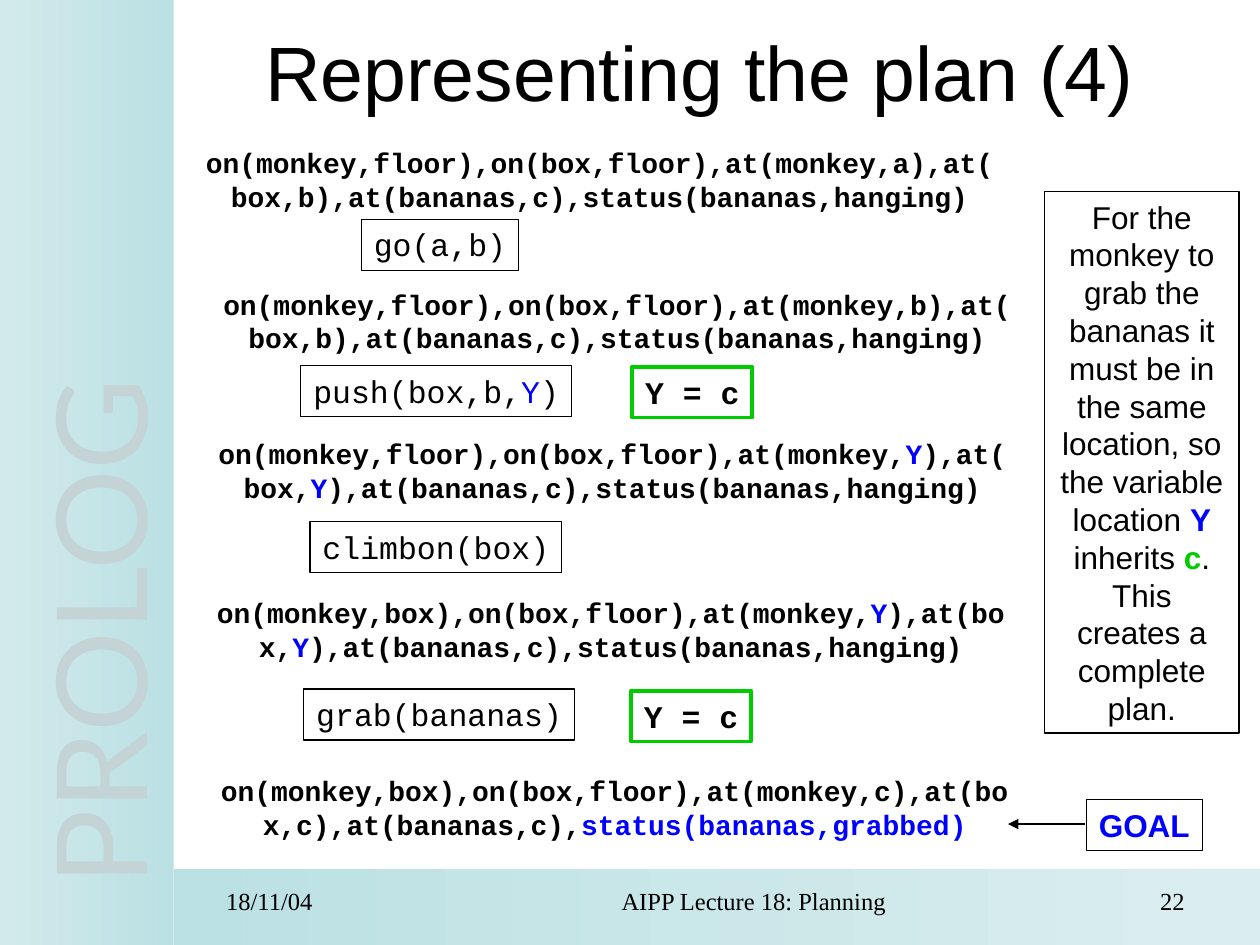
from dataclasses import dataclass
from lxml.etree import SubElement
from pptx import Presentation
from pptx.dml.color import RGBColor
from pptx.enum.shapes import MSO_CONNECTOR, MSO_SHAPE
from pptx.enum.text import MSO_ANCHOR, PP_ALIGN
from pptx.oxml.ns import qn
from pptx.util import Pt


@dataclass(frozen=True)
class Theme:
    black: str = "000000"
    white: str = "FFFFFF"
    blue: str = "0000FF"
    green: str = "00CC00"
    teal: str = "BBE0E3"
    side_light: str = "D2EAEC"
    footer_light: str = "DBEEEF"
    watermark: str = "C4D3D5"
    sans: str = "Arial"
    code: str = "Courier New"
    serif: str = "Times New Roman"
    display: str = "Lato"
    title_size: int = 44
    display_size: int = 72
    state_size: int = 16
    label_size: int = 18
    footer_size: int = 14


THEME = Theme()
SLIDE_WIDTH, SLIDE_HEIGHT = 720, 540
SIDE_WIDTH, FOOTER_TOP = 99.2, 496.8
STATE_WIDTH, STATE_HEIGHT, LABEL_HEIGHT = 465, 46.1, 29.1

# Content: a run is plain text or (text, colour, bold)
TITLE = "Representing the plan (4)"
CODE_Y = ("Y", THEME.blue, True)
HANGING = "at(bananas,c),status(bananas,hanging)"
STATES = [  # left, top, runs
    (110.2, 79.9, ["on(monkey,floor),on(box,floor),at(monkey,a),at(box,b)," + HANGING]),
    (120.2, 160.6, ["on(monkey,floor),on(box,floor),at(monkey,b),at(box,b)," + HANGING]),
    (117.4, 246.2, ["on(monkey,floor),on(box,floor),at(monkey,", CODE_Y, "),at(box,",
                    CODE_Y, ")," + HANGING]),
    (116.6, 336.8, ["on(monkey,box),on(box,floor),at(monkey,", CODE_Y, "),at(box,",
                    CODE_Y, ")," + HANGING]),
    (118.8, 438.5, ["on(monkey,box),on(box,floor),at(monkey,c),at(box,c),at(bananas,c),",
                    ("status(bananas,grabbed)", THEME.blue, True)]),
]
ACTIONS = [  # left, top, width, runs
    (206.4, 125.3, 90, ["go(a,b)"]),
    (171.8, 208.8, 154.8, ["push(box,b,", ("Y", THEME.blue, False), ")"]),
    (177.1, 298.1, 144, ["climbon(box)"]),
    (173.5, 393.8, 154.8, ["grab(bananas)"]),
]
BINDING = ["Y = c"]
BINDING_PLACES = [(361.4, 209.5), (360.7, 394.6)]
NOTE = ["For the monkey to grab the bananas it must be in the same location, "
        "so the variable location ", CODE_Y, " inherits ", ("c", THEME.green, True),
        ". This creates a complete plan."]
GOAL = ["GOAL"]
FOOTERS = [  # left, width, alignment, text
    (105.1, 130.3, PP_ALIGN.LEFT, "18/11/04"),
    (246.2, 352.1, PP_ALIGN.CENTER, "AIPP Lecture 18: Planning"),
    (609.8, 74.2, PP_ALIGN.RIGHT, "22"),
]


def rgb(value):
    return RGBColor.from_string(value)


def write(shape, runs, font, size, color=THEME.black, bold=False,
          align=PP_ALIGN.CENTER, wrap=True):
    shape.text_frame.word_wrap = wrap
    paragraph = shape.text_frame.paragraphs[0]
    paragraph.alignment = align
    paragraph.font.name, paragraph.font.size = font, Pt(size)
    paragraph.font.bold = bold
    paragraph.font.color.rgb = rgb(color)
    for item in runs:
        run = paragraph.add_run()
        if isinstance(item, str):
            run.text = item
        else:
            run.text, run_color, run.font.bold = item
            run.font.color.rgb = rgb(run_color)


def add_text(slide, left, top, width, height, runs, font, size,
             border=None, border_width=0.75, **style):
    shape = slide.shapes.add_textbox(Pt(left), Pt(top), Pt(width), Pt(height))
    if border:
        shape.line.color.rgb = rgb(border)
        shape.line.width = Pt(border_width)
    write(shape, runs, font, size, **style)
    return shape


def add_band(slide, left, top, width, height, right_color, left_color):
    band = slide.shapes.add_shape(MSO_SHAPE.RECTANGLE, Pt(left), Pt(top), Pt(width), Pt(height))
    band.shadow.inherit = False
    band.line.fill.background()
    band.fill.gradient()
    band.fill.gradient_angle = 180
    for stop, color in zip(band.fill.gradient_stops, (right_color, left_color)):
        stop.color.rgb = rgb(color)


def add_arrow(slide, start_x, end_x, y):
    arrow = slide.shapes.add_connector(MSO_CONNECTOR.STRAIGHT, Pt(start_x), Pt(y), Pt(end_x), Pt(y))
    arrow.line.color.rgb = rgb(THEME.black)
    arrow.line.width = Pt(0.75)
    SubElement(arrow.line._get_or_add_ln(), qn("a:tailEnd"), type="triangle")
    SubElement(arrow._element.spPr, qn("a:effectLst"))


def main():
    presentation = Presentation()
    presentation.slide_width, presentation.slide_height = Pt(SLIDE_WIDTH), Pt(SLIDE_HEIGHT)
    slide = presentation.slides.add_slide(presentation.slide_layouts[5])

    # Background bands and sideways course name
    add_band(slide, SIDE_WIDTH, FOOTER_TOP, SLIDE_WIDTH - SIDE_WIDTH,
             SLIDE_HEIGHT - FOOTER_TOP, THEME.footer_light, THEME.teal)
    add_band(slide, 0, 0, SIDE_WIDTH, SLIDE_HEIGHT, THEME.teal, THEME.side_light)
    course = add_text(slide, -199.4, 228.2, 493.2, 77, ["PROLOG"], THEME.display,
                      THEME.display_size, color=THEME.watermark,
                      align=PP_ALIGN.LEFT, wrap=False)
    course.rotation = 270

    # Title
    title = slide.shapes.title
    title.left, title.top, title.width, title.height = Pt(99.4), Pt(15.1), Pt(601.2), Pt(51.1)
    title.text_frame.vertical_anchor = MSO_ANCHOR.MIDDLE
    write(title, [TITLE], THEME.sans, THEME.title_size)

    # States, and the actions between them
    for left, top, runs in STATES:
        state = add_text(slide, left, top, STATE_WIDTH, STATE_HEIGHT, runs,
                         THEME.code, THEME.state_size, bold=True)
    state.fill.solid()  # the goal state is filled
    state.fill.fore_color.rgb = rgb(THEME.white)
    for left, top, width, runs in ACTIONS:
        add_text(slide, left, top, width, LABEL_HEIGHT, runs, THEME.code,
                 THEME.label_size, border=THEME.black, wrap=False)
    for left, top in BINDING_PLACES:
        add_text(slide, left, top, 68.4, LABEL_HEIGHT, BINDING, THEME.code, THEME.label_size,
                 border=THEME.green, border_width=2.25, bold=True, wrap=False)

    # Explanation and goal
    add_text(slide, 596.9, 109.4, 111.2, 309.6, NOTE, THEME.sans, THEME.label_size,
             border=THEME.black)
    add_text(slide, 620.8, 456.8, 66.2, LABEL_HEIGHT, GOAL, THEME.sans, THEME.label_size,
             border=THEME.black, color=THEME.blue, bold=True, wrap=False)
    add_arrow(slide, 619.9, 576, 470.9)

    # Footer
    for left, width, align, text in FOOTERS:
        add_text(slide, left, 502.6, width, 26.6, [text], THEME.serif,
                 THEME.footer_size, align=align)
        paragraph_properties = slide.shapes[-1].text_frame.paragraphs[0]._p.get_or_add_pPr()
        paragraph_properties.set("marL", str(Pt(17)))
        paragraph_properties.set("indent", "0")

    presentation.save("out.pptx")


if __name__ == "__main__":
    main()
